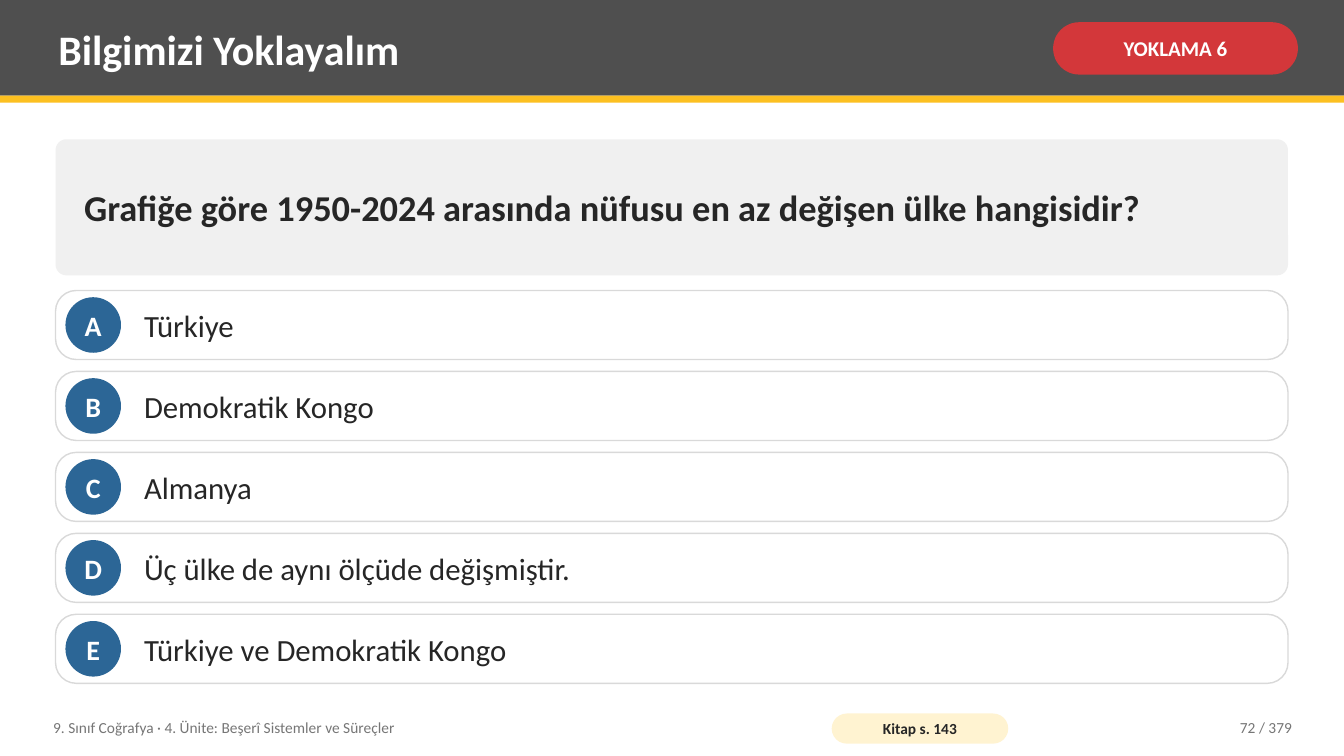
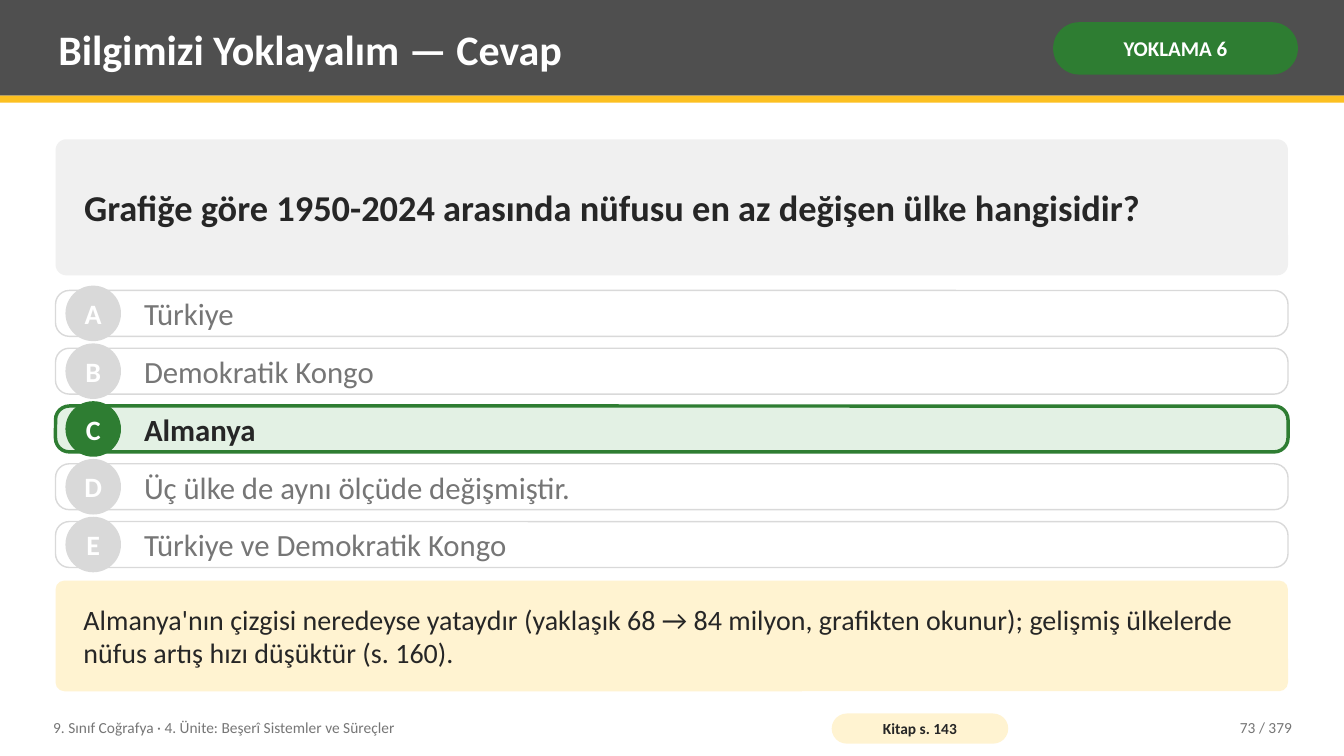
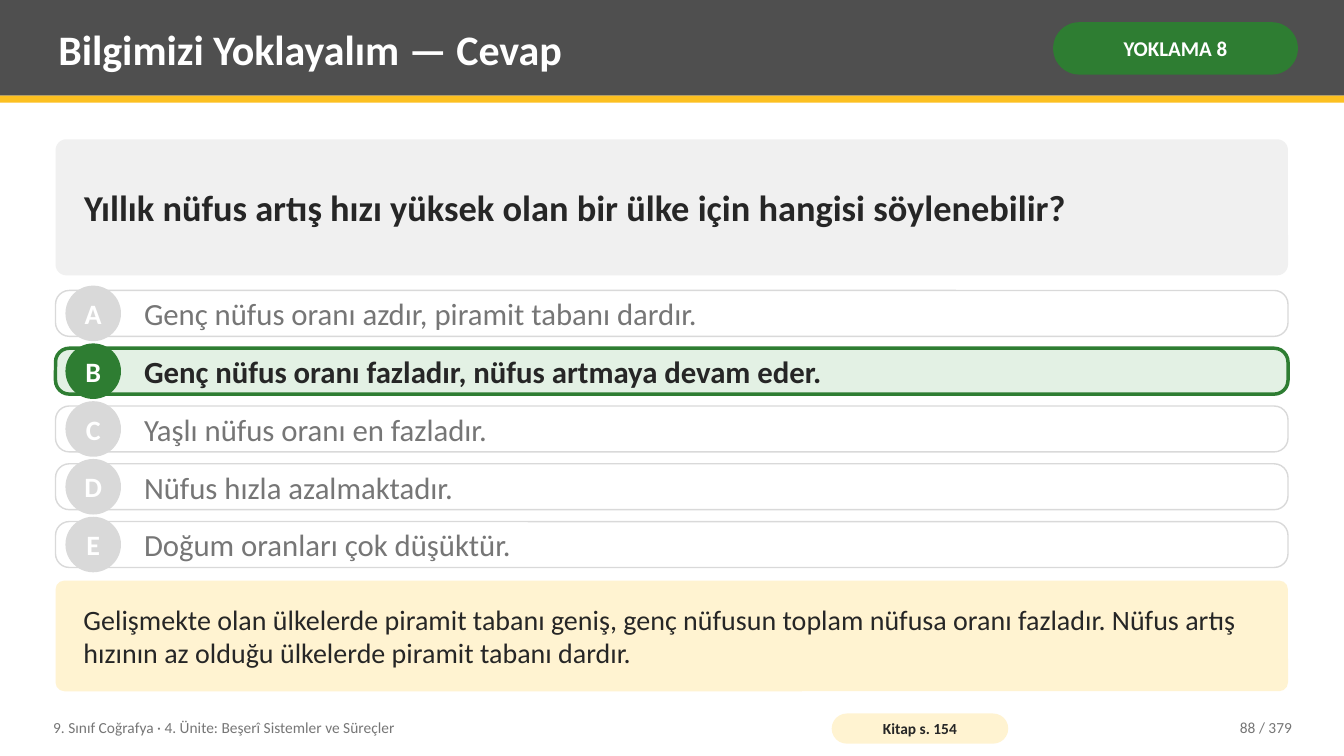
from pptx import Presentation
from pptx.dml.color import RGBColor
from pptx.enum.shapes import MSO_SHAPE
from pptx.enum.text import MSO_ANCHOR, PP_ALIGN
from pptx.util import Cm, Pt

RECT, ROUND, OVAL = MSO_SHAPE.RECTANGLE, MSO_SHAPE.ROUNDED_RECTANGLE, MSO_SHAPE.OVAL
LEFT, CENTER, RIGHT = PP_ALIGN.LEFT, PP_ALIGN.CENTER, PP_ALIGN.RIGHT
MIDDLE = MSO_ANCHOR.MIDDLE

FONT = "Calibri"
COLORS = {
    "band": "4F4F4F", "gold": "FCC021", "cream": "FFF3D1", "panel": "F0F0F0",
    "white": "FFFFFF", "ink": "262626", "gray": "767676", "rule": "D9D9D9",
    "red": "D3373A", "blue": "2C6696", "green": "2E7D32", "mint": "E3F1E4",
}

# Page regions in cm: left, top, width, height
WIDTH, HEIGHT = 33.87, 19.05
X, W = 1.4, 31.06
HEAD = (0, 0, WIDTH, 2.41)
ASK = (X, 3.51, W, 3.43)
LIST_TOP, GAP = 7.32, 0.3
OPEN = (X, LIST_TOP, W, 9.9)
SHORT = (X, LIST_TOP, W, 6.98)
NOTE = (X, 14.63, W, 2.79)
FOOT = (0, 17.88, WIDTH, 0.91)

TITLE = "Bilgimizi Yoklayalım"
UNIT = "9. Sınıf Coğrafya · 4. Ünite: Beşerî Sistemler ve Süreçler"
TOTAL = 379


def color(name):
    return RGBColor.from_string(COLORS[name])


def place(box):
    return [Cm(v) for v in box]


def write(shape, text, size, ink, bold=False, align=LEFT, pad=(0.2, 0.1), wrap=True):
    frame = shape.text_frame
    frame.word_wrap = wrap
    frame.vertical_anchor = MIDDLE
    frame.margin_left = frame.margin_right = Cm(pad[0])
    frame.margin_top = frame.margin_bottom = Cm(pad[1])
    para = frame.paragraphs[0]
    para.text = text
    para.alignment = align
    font = para.font
    font.name, font.size, font.bold = FONT, Pt(size), bold
    font.color.rgb = color(ink)


def label(slide, box, *args, **opts):
    write(slide.shapes.add_textbox(*place(box)), *args, **opts)


def block(slide, kind, box, fill, curve=None, line=None, weight=1):
    shape = slide.shapes.add_shape(kind, *place(box))
    shape.shadow.inherit = False
    shape.fill.solid()
    shape.fill.fore_color.rgb = color(fill)
    if line:
        shape.line.color.rgb = color(line)
        shape.line.width = Pt(weight)
    else:
        shape.line.fill.background()
    if curve is not None:
        shape.adjustments[0] = curve
    return shape


def header(slide, box, title, tag, hue):
    x, y, w, h = box
    block(slide, RECT, box, "band")
    block(slide, RECT, (x, y + h, w, 0.18), "gold")
    label(slide, (x + 1.27, y + 0.18, 24.77, 2.08), title, 30, "white", True)
    pill = block(slide, ROUND, (x + w - 7.33, y + 0.56, 6.17, 1.32), hue, 0.5)
    write(pill, tag, 15, "white", True, CENTER, (0.13, 0.05))


def panel(slide, box, text, size, fill, bold=False):
    shape = block(slide, ROUND, box, fill, 0.08)
    write(shape, text, size, "ink", bold, pad=(0.64, 0.2))


def option(slide, box, letter, text, state):
    # Fill, outline, outline weight, badge, text colour, bold
    fill, line, weight, hue, ink, bold = {
        "open": ("white", "rule", 1, "blue", "ink", False),
        "wrong": ("white", "rule", 1, "rule", "gray", False),
        "right": ("mint", "green", 2.5, "green", "ink", True),
    }[state]
    x, y, w, h = box
    size = 1.4
    block(slide, ROUND, box, fill, 0.3, line, weight)
    badge = block(slide, OVAL, (x + 0.25, y + (h - size) / 2, size, size), hue)
    write(badge, letter, 20, "white", True, CENTER, (0, 0), False)
    label(slide, (x + 2.03, y, w - 2.54, h), text, 22, ink, bold)


def choices(slide, box, texts, answer):
    x, y, w, h = box
    step = (h + GAP) / len(texts)
    for i, (letter, text) in enumerate(zip("ABCDE", texts)):
        state = "open" if not answer else "right" if letter == answer else "wrong"
        option(slide, (x, y + i * step, w, step - GAP), letter, text, state)


def footer(slide, box, page, number):
    x, y, w, h = box
    label(slide, (x + 1.14, y, 19.3, h), UNIT, 11, "gray")
    pill = block(slide, ROUND, (x + 20.96, y + 0.1, 4.45, 0.76), "cream", 0.5)
    write(pill, f"Kitap s. {page}", 11, "ink", True, CENTER, (0.1, 0))
    label(slide, (x + w - 5.17, y, 4.06, h), f"{number} / {TOTAL}", 11, "gray", align=RIGHT)


def quiz(deck, check, ask, texts, page, number, answer=None, note=None):
    slide = deck.slides.add_slide(deck.slide_layouts[6])
    title = f"{TITLE} — Cevap" if answer else TITLE
    header(slide, HEAD, title, f"YOKLAMA {check}", "green" if answer else "red")
    panel(slide, ASK, ask, 26, "panel", True)
    choices(slide, SHORT if answer else OPEN, texts, answer)
    if note:
        panel(slide, NOTE, note, 20, "cream")
    footer(slide, FOOT, page, number)


def main():
    deck = Presentation()
    deck.slide_width, deck.slide_height = Cm(WIDTH), Cm(HEIGHT)

    # Check 6: question, then answer
    graph = (6, "Grafiğe göre 1950-2024 arasında nüfusu en az değişen ülke hangisidir?", [
        "Türkiye",
        "Demokratik Kongo",
        "Almanya",
        "Üç ülke de aynı ölçüde değişmiştir.",
        "Türkiye ve Demokratik Kongo",
    ], 143)
    quiz(deck, *graph, 72)
    quiz(deck, *graph, 73, "C",
         "Almanya'nın çizgisi neredeyse yataydır (yaklaşık 68 → 84 milyon, grafikten "
         "okunur); gelişmiş ülkelerde nüfus artış hızı düşüktür (s. 160).")

    # Check 8: answer
    growth = (8, "Yıllık nüfus artış hızı yüksek olan bir ülke için hangisi söylenebilir?", [
        "Genç nüfus oranı azdır, piramit tabanı dardır.",
        "Genç nüfus oranı fazladır, nüfus artmaya devam eder.",
        "Yaşlı nüfus oranı en fazladır.",
        "Nüfus hızla azalmaktadır.",
        "Doğum oranları çok düşüktür.",
    ], 154)
    quiz(deck, *growth, 88, "B",
         "Gelişmekte olan ülkelerde piramit tabanı geniş, genç nüfusun toplam nüfusa "
         "oranı fazladır. Nüfus artış hızının az olduğu ülkelerde piramit tabanı dardır.")

    deck.save("out.pptx")


if __name__ == "__main__":
    main()
